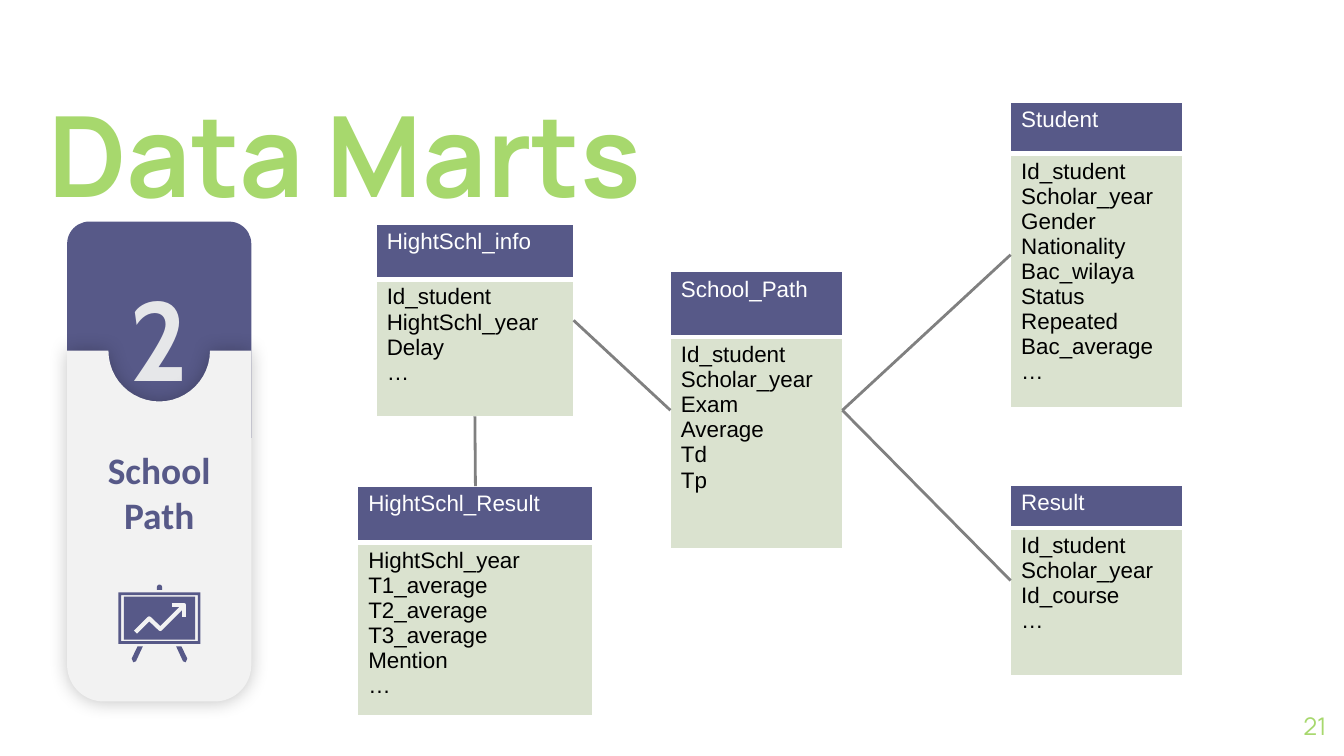
import math
from dataclasses import dataclass

from lxml import etree
from pptx import Presentation
from pptx import util as u
from pptx.dml import color
from pptx.enum import shapes, text
from pptx.oxml import ns

Cm, Pt = u.Cm, u.Pt


@dataclass(frozen=True)
class Theme:
    purple: str = "575988"
    green: str = "A7D86D"
    body: str = "DAE2CF"
    panel: str = "F2F2F2"
    digit: str = "E6E7E9"
    line: str = "808080"
    white: str = "FFFFFF"
    black: str = "000000"
    display: int = 60
    label: int = 20
    number: int = 13
    cell: int = 12


T = Theme()

TABLES = {
    "School_Path": ((12.67, 5.13, 3.25, 5.25), 1.24,
                    ["Id_student", "Scholar_year", "Exam", "Average", "Td", "Tp"]),
    "Student": ((19.1, 1.93, 3.25, 5.77), 0.97,
                ["Id_student", "Scholar_year", "Gender", "Nationality", "Bac_wilaya",
                 "Status", "Repeated", "Bac_average", "…"]),
    "HightSchl_info": ((7.11, 4.24, 3.73, 3.63), 1.04,
                       ["Id_student", "HightSchl_year", "Delay", "…"]),
    "Result": ((19.1, 9.17, 3.25, 3.61), 0.81,
               ["Id_student", "Scholar_year", "Id_course", "…"]),
    "HightSchl_Result": ((6.76, 9.19, 4.45, 4.34), 1.07,
                         ["HightSchl_year", "T1_average", "T2_average", "T3_average",
                          "Mention", "…"]),
}
TOP, LEFT, BOTTOM, RIGHT = range(4)
LINKS = [
    ("Student", LEFT, "School_Path", RIGHT),
    ("School_Path", LEFT, "HightSchl_info", RIGHT),
    ("Result", LEFT, "School_Path", RIGHT),
    ("HightSchl_Result", TOP, "HightSchl_info", BOTTOM),
]


def rgb(value):
    return color.RGBColor.from_string(value)


def cms(box):
    return [Cm(v) for v in box]


def paint(sp, fill):
    sp.shadow.inherit = False
    sp.fill.solid()
    sp.fill.fore_color.rgb = rgb(fill)
    sp.line.fill.background()
    return sp


def write(tf, lines, size, font, ink, bold=False, align=text.PP_ALIGN.LEFT):
    tf.word_wrap = True
    for i, line in enumerate(lines):
        p = tf.paragraphs[0] if i == 0 else tf.add_paragraph()
        p.alignment = align
        r = p.add_run()
        r.text = line
        r.font.size, r.font.name, r.font.bold = Pt(size), font, bold
        r.font.color.rgb = rgb(ink)


def outline(parts, x, y, points, close=True):
    start, *rest = [cms(point) for point in points]
    builder = parts.build_freeform(*start)
    builder.add_line_segments(rest, close=close)
    return builder.convert_to_shape(Cm(x), Cm(y))


def arc(cx, cy, radius, start, end, steps=24):
    angles = [math.radians(start + (end - start) * i / steps) for i in range(steps + 1)]
    return [(cx + radius * math.cos(a), cy + radius * math.sin(a)) for a in angles]


def add_title(s, box):
    sp = s.shapes.title
    sp.left, sp.top, sp.width, sp.height = cms(box)
    sp.text_frame.auto_size = text.MSO_AUTO_SIZE.NONE
    sp.text_frame.vertical_anchor = text.MSO_ANCHOR.MIDDLE
    write(sp.text_frame, ["Data Marts"], T.display, "Manrope", T.green, True)


def add_number(s, box):
    tf = s.shapes.add_textbox(*cms(box)).text_frame
    tf.margin_left = tf.margin_right = tf.margin_top = tf.margin_bottom = 0
    tf.vertical_anchor = text.MSO_ANCHOR.MIDDLE
    write(tf, ["21"], T.number, "Manrope", T.green, align=text.PP_ALIGN.RIGHT)


def add_shadow(sp):
    effects = sp._element.spPr.find(ns.qn("a:effectLst"))
    shadow = etree.SubElement(effects, ns.qn("a:outerShdw"), blurRad=str(Pt(10)), dist="0")
    ink = etree.SubElement(shadow, ns.qn("a:srgbClr"), val=T.black)
    etree.SubElement(ink, ns.qn("a:alpha"), val="23000")


def add_board_icon(parts, box):
    x, y, w, h = box
    frame = parts.add_shape(shapes.MSO_SHAPE.FRAME, *cms((x, y + 0.15, w, 0.97)))
    frame.adjustments[0] = 0.05
    knob = parts.add_shape(shapes.MSO_SHAPE.ROUND_2_SAME_RECTANGLE,
                           *cms((x + w / 2 - 0.05, y, 0.1, 0.1)))
    knob.adjustments[0] = 0.5
    board = parts.add_shape(shapes.MSO_SHAPE.RECTANGLE,
                            *cms((x + 0.1, y + 0.23, w - 0.2, 0.81)))
    leg = [(0.36, 1.17), (0.25, 1.4), (0.28, h), (0.33, 1.45), (0.46, 1.17)]
    legs = [outline(parts, x, y, points)
            for points in (leg, [(w - px, py) for px, py in leg])]
    for sp in (frame, knob, board, *legs):
        paint(sp, T.purple)

    trend = [(0.32, 0.9), (0.58, 0.64), (0.79, 0.84), (1.22, 0.41)]
    head = [(1.01, 0.39), (1.24, 0.39), (1.24, 0.62)]
    for points in (trend, head):
        sp = outline(parts, x, y, points, close=False)
        sp.shadow.inherit = False
        sp.fill.background()
        sp.line.color.rgb = rgb(T.panel)
        sp.line.width = Pt(2.25)


def add_card(s, box):
    x, y, w, h = box
    parts = s.shapes.add_group_shape().shapes
    cap = parts.add_shape(shapes.MSO_SHAPE.ROUND_2_SAME_RECTANGLE, *cms((x, y, w, 4.09)))
    cap.adjustments[0] = 0.12
    paint(cap, T.purple)

    digit = parts.add_shape(shapes.MSO_SHAPE.RECTANGLE,
                            *cms((x + 0.76, y + 0.76, w - 1.52, 2.82)))
    paint(digit, T.purple)
    digit.text_frame.vertical_anchor = text.MSO_ANCHOR.MIDDLE
    write(digit.text_frame, ["2"], T.display, "Cabin", T.digit, True, text.PP_ALIGN.CENTER)

    top, corner = 2.44, 0.69
    depth = h - top
    points = [(0, 0), *arc(w / 2, 0, 0.96, 180, 0), (w, 0),
              *arc(w - corner, depth - corner, corner, 0, 90),
              *arc(corner, depth - corner, corner, 90, 180)]
    panel = paint(outline(parts, x, y + top, points), T.panel)
    add_shadow(panel)

    label = parts.add_textbox(*cms((x, y + 4.14, w, 1.96)))
    write(label.text_frame, ["School Path"], T.label, "Calibri", T.purple, True,
          text.PP_ALIGN.CENTER)
    add_board_icon(parts, (x + 0.97, y + 6.86, 1.55, 1.47))


def add_borders(cell, bottom):
    tcPr = cell._tc.get_or_add_tcPr()
    for i, side in enumerate(("lnL", "lnR", "lnT", "lnB")):
        width = bottom if side == "lnB" else 1
        ln = etree.Element(ns.qn("a:" + side), w=str(Pt(width)))
        fill = etree.SubElement(ln, ns.qn("a:solidFill"))
        etree.SubElement(fill, ns.qn("a:srgbClr"), val=T.white)
        tcPr.insert(i, ln)


def add_entity(s, box, name, head, fields):
    frame = s.shapes.add_table(2, 1, *cms(box))
    table = frame.table
    table.horz_banding = False
    rows = [(head, [name], T.purple, T.white, 3),
            (box[3] - head, fields, T.body, T.black, 1)]
    for i, (height, lines, fill, ink, bottom) in enumerate(rows):
        table.rows[i].height = Cm(height)
        cell = table.cell(i, 0)
        cell.margin_left = cell.margin_right = Cm(0.2)
        cell.margin_top = cell.margin_bottom = Cm(0.1)
        cell.fill.solid()
        cell.fill.fore_color.rgb = rgb(fill)
        write(cell.text_frame, lines, T.cell, "Arial", ink)
        add_borders(cell, bottom)
    return frame


def add_link(s, start, start_side, end, end_side):
    line = s.shapes.add_connector(shapes.MSO_CONNECTOR.STRAIGHT, 0, 0, 0, 0)
    line.begin_connect(start, start_side)
    line.end_connect(end, end_side)
    line.line.color.rgb = rgb(T.line)
    line.line.width = Pt(1.5)
    etree.SubElement(line._element.spPr, ns.qn("a:effectLst"))


def main():
    prs = Presentation()
    prs.slide_width, prs.slide_height = Cm(25.4), Cm(14.29)
    s = prs.slides.add_slide(prs.slide_layouts[5])
    add_number(s, (23.55, 13.18, 1.52, 1.09))
    add_title(s, (0.66, 1.47, 12.6, 2.82))
    add_card(s, (1.27, 4.19, 3.48, 9.07))
    entities = {name: add_entity(s, box, name, head, fields)
                for name, (box, head, fields) in TABLES.items()}
    for start, start_side, end, end_side in LINKS:
        add_link(s, entities[start], start_side, entities[end], end_side)
    prs.save("out.pptx")


if __name__ == "__main__":
    main()
